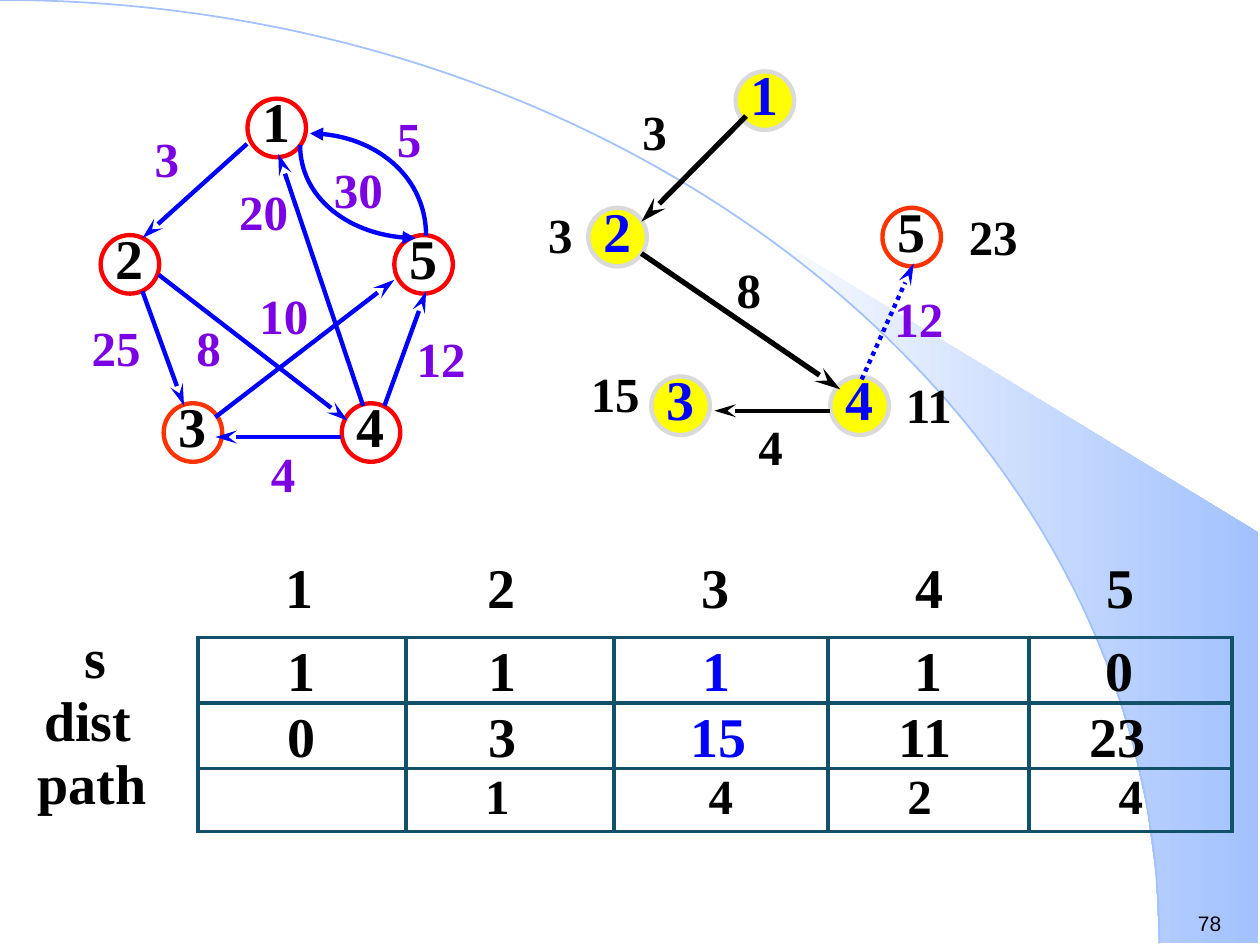
from math import acos, cos, degrees, radians, sin

from lxml.etree import SubElement
from pptx import Presentation
from pptx.dml.color import RGBColor
from pptx.enum.dml import MSO_LINE
from pptx.enum.shapes import MSO_CONNECTOR, MSO_SHAPE
from pptx.enum.text import MSO_ANCHOR, PP_ALIGN
from pptx.oxml.ns import qn
from pptx.util import Cm, Pt

BLACK = RGBColor(0x00, 0x00, 0x00)
BLUE = RGBColor(0x00, 0x00, 0xFF)
VIOLET = RGBColor(0x7B, 0x00, 0xE4)
RED = RGBColor(0xFF, 0x00, 0x00)
ORANGE = RGBColor(0xFF, 0x33, 0x00)
YELLOW = RGBColor(0xFF, 0xFF, 0x00)
GREY = RGBColor(0xDA, 0xDA, 0xDA)
TEAL = RGBColor(0x13, 0x50, 0x69)
SKY = RGBColor(0xA2, 0xC1, 0xFE)
WHITE = RGBColor(0xFF, 0xFF, 0xFF)

SERIF = "Times New Roman"
NO_STYLE = "{2D5ABB26-0587-4C30-8999-92F81FD0307C}"
DIAMETER = 1.18
BEZIER_ARC = 0.55  # control point distance, as a share of the radius

# All positions are in centimetres.
# Nodes: name, centre x, centre y, ring, fill, text colour
NODES = [
    ("1", 5.58, 2.58, RED, None, BLACK),
    ("2", 2.62, 5.33, RED, None, BLACK),
    ("3", 3.89, 8.72, ORANGE, None, BLACK),
    ("4", 7.48, 8.72, RED, None, BLACK),
    ("5", 8.54, 5.33, RED, None, BLACK),
    ("1", 15.42, 2.03, GREY, YELLOW, BLUE),
    ("2", 12.45, 4.78, GREY, YELLOW, BLUE),
    ("3", 13.72, 8.18, GREY, YELLOW, BLUE),
    ("4", 17.33, 8.18, GREY, YELLOW, BLUE),
    ("5", 18.38, 4.78, ORANGE, None, BLACK),
]
# Edges: start, end, colour, width, dash
EDGES = [
    ((4.98, 2.9), (2.87, 4.8), BLUE, 2.5, None),
    ((2.87, 5.87), (3.71, 8.18), BLUE, 2.5, None),
    ((3.2, 5.54), (7.01, 8.48), BLUE, 2.5, None),
    ((4.34, 8.41), (7.95, 5.64), BLUE, 2.5, None),
    ((6.88, 8.81), (4.34, 8.81), BLUE, 2.5, None),
    ((7.75, 8.18), (8.59, 5.87), BLUE, 2.5, None),
    ((7.32, 8.18), (5.61, 3.1), BLUE, 2.5, None),
    ((15.04, 2.34), (12.93, 4.47), BLACK, 3, None),
    ((12.93, 5.11), (16.94, 7.85), BLACK, 3, None),
    ((16.74, 8.28), (14.4, 8.28), BLACK, 2.5, None),
    ((17.37, 7.65), (18.42, 5.31), BLUE, 2.5, MSO_LINE.ROUND_DOT),
]
# Curved edges: horizontal end (with the head), vertical end
CURVED_EDGES = [
    ((6.25, 2.69), (8.59, 4.75)),
    ((8.38, 4.8), (6.05, 2.92)),
]
# Weights and distances: text, left, top
GRAPH_WEIGHTS = [
    ("3", 2.87, 2.46), ("25", 1.6, 6.27), ("8", 3.71, 6.27), ("10", 4.98, 5.64),
    ("20", 4.57, 3.53), ("4", 5.21, 8.81), ("5", 7.75, 2.06), ("30", 6.48, 3.1),
    ("12", 8.15, 6.5), ("12", 17.78, 5.69),
]
TREE_WEIGHTS = [
    ("3", 12.7, 1.93), ("8", 14.6, 5.11), ("4", 15.04, 8.28), ("3", 10.8, 3.99),
    ("15", 11.66, 7.21), ("11", 18.01, 7.42), ("23", 19.28, 4.04),
]
ROW_LABELS = [("s", 1.45, 12.42, 1.68), ("dist", 0.64, 13.69, 3.58), ("path", 0.51, 14.96, 3.58)]
COLUMN_LABELS = [("1", 5.51), ("2", 9.58), ("3", 13.89), ("4", 18.21), ("5", 22.05)]
STATE_ROWS = [
    ("1", "1", "1", "1", "0"),
    ("0", "3", "15", "11", "23"),
    ("", "1", "4", "2", "4"),
]
BLUE_CELLS = {(0, 2), (1, 2)}
ROW_SIZES = [32, 32, 28]
RIGHT_MARGINS = [(0, 0.28, 0.16, 0, 0.44), (0, 0.28, 0.1, 0.16, 0.52), (0, 0.5, 0, 0.36, 0)]
COLUMN_WIDTHS = [4.19, 4.19, 4.32, 4.06, 4.09]
ROW_HEIGHT = 1.27


def style_font(paragraph, size, color, name=SERIF, bold=True):
    font = paragraph.font
    font.name, font.size, font.bold = name, Pt(size), bold
    font.color.rgb = color


def add_label(slide, text, left, top, width, height, size, color, **font):
    frame = slide.shapes.add_textbox(Cm(left), Cm(top), Cm(width), Cm(height)).text_frame
    frame.word_wrap = True
    frame.text = text
    style_font(frame.paragraphs[0], size, color, **font)


def style_line(line, color, width):
    line.color.rgb = color
    line.width = Pt(width)


def add_arrowhead(line, end, kind, length="med"):
    SubElement(line._get_or_add_ln(), qn(f"a:{end}"), type=kind, len=length)


def add_outline(slide, points, close):
    emu = [(Cm(x), Cm(y)) for x, y in points]
    builder = slide.shapes.build_freeform(*emu[0])
    builder.add_line_segments(emu[1:], close=close)
    outline = builder.convert_to_shape()
    outline.shadow.inherit = False
    return outline


def add_quarter_arc(slide, start, end, color, width):
    """Draw a quarter ellipse that leaves start horizontally and meets end vertically."""
    arc = add_outline(slide, [start, end], close=False)
    segment = next(arc._element.iter(qn("a:lnTo")))
    segment.tag = qn("a:cubicBezTo")
    (x0, y0), (x1, y1) = start, end
    controls = [(x0 + BEZIER_ARC * (x1 - x0), y0), (x1, y1 - BEZIER_ARC * (y1 - y0))]
    left, top = min(x0, x1), min(y0, y1)
    for i, (x, y) in enumerate(controls):
        point = SubElement(segment, qn("a:pt"), x=str(Cm(x - left)), y=str(Cm(y - top)))
        segment.insert(i, point)
    arc.fill.background()
    style_line(arc.line, color, width)
    return arc


def add_backdrop(slide):
    width, height, wedge_left, steps = 23.37, 19.02, 14.96, 12
    first = degrees(acos(wedge_left / width))
    angles = [radians(first * (1 - i / steps)) for i in range(steps + 1)]
    rim = [(width * cos(a), height * (1 - sin(a))) for a in angles]
    wedge = add_outline(slide, rim + [(25.37, 19.02), (25.37, 10.74)], close=True)
    wedge.fill.gradient()
    wedge.fill.gradient_angle = 0
    for stop, color in zip(wedge.fill.gradient_stops, (WHITE, SKY)):
        stop.color.rgb = color
    wedge.line.fill.background()
    add_quarter_arc(slide, (0, 0), (width, height), SKY, 1)


def add_node(slide, name, x, y, ring, fill, color):
    node = slide.shapes.add_shape(
        MSO_SHAPE.OVAL, Cm(x - DIAMETER / 2), Cm(y - DIAMETER / 2), Cm(DIAMETER), Cm(DIAMETER))
    node.shadow.inherit = False
    if fill is None:
        node.fill.background()
    else:
        node.fill.solid()
        node.fill.fore_color.rgb = fill
    style_line(node.line, ring, 2.5)
    frame = node.text_frame
    frame.margin_left = frame.margin_right = frame.margin_top = 0
    frame.margin_bottom = Cm(0.3)
    frame.word_wrap = False
    frame.vertical_anchor = MSO_ANCHOR.MIDDLE
    frame.text = name
    frame.paragraphs[0].alignment = PP_ALIGN.CENTER
    style_font(frame.paragraphs[0], 32, color)


def add_edge(slide, start, end, color, width, dash):
    edge = slide.shapes.add_connector(
        MSO_CONNECTOR.STRAIGHT, *(Cm(value) for value in start + end))
    style_line(edge.line, color, width)
    if dash:
        edge.line.dash_style = dash
    add_arrowhead(edge.line, "tailEnd", "stealth", "lg")
    SubElement(edge._element.spPr, qn("a:effectLst"))


def add_borders(cell, sides):
    properties = cell._tc.get_or_add_tcPr()
    for side in sides:
        border = SubElement(properties, qn(f"a:{side}"), w=str(Pt(2.5)))
        solid = SubElement(border, qn("a:solidFill"))
        SubElement(solid, qn("a:srgbClr"), val=str(TEAL))


def add_state_table(slide):
    table = slide.shapes.add_table(
        len(STATE_ROWS), len(COLUMN_WIDTHS), Cm(3.99), Cm(12.85),
        Cm(sum(COLUMN_WIDTHS)), Cm(ROW_HEIGHT * len(STATE_ROWS))).table
    table.first_row = table.horz_banding = False
    table._tbl.tblPr.find(qn("a:tableStyleId")).text = NO_STYLE
    for column, width in zip(table.columns, COLUMN_WIDTHS):
        column.width = Cm(width)
    for r, values in enumerate(STATE_ROWS):
        table.rows[r].height = Cm(ROW_HEIGHT)
        for c, value in enumerate(values):
            cell = table.cell(r, c)
            # Each shared border belongs to the cell on its left or above it.
            sides = ["lnL"] * (c == 0) + ["lnR"] + ["lnT"] * (r == 0) + ["lnB"]
            add_borders(cell, sides)
            cell.fill.background()
            cell.margin_left = cell.margin_bottom = 0
            cell.margin_top = Cm(0.1) if ROW_SIZES[r] == 32 else 0
            cell.margin_right = Cm(RIGHT_MARGINS[r][c])
            cell.vertical_anchor = MSO_ANCHOR.BOTTOM if r < 2 else MSO_ANCHOR.MIDDLE
            cell.text = value
            paragraph = cell.text_frame.paragraphs[0]
            paragraph.alignment = PP_ALIGN.CENTER
            paragraph.line_spacing = 0.9
            style_font(paragraph, ROW_SIZES[r], BLUE if (r, c) in BLUE_CELLS else BLACK)


def main():
    deck = Presentation()
    deck.slide_width, deck.slide_height = Cm(25.4), Cm(19.05)
    slide = deck.slides.add_slide(deck.slide_layouts[6])
    add_backdrop(slide)
    add_label(slide, "78", 23.9, 18.24, 1.5, 0.76, 12, BLACK, name="Arial", bold=False)
    for node in NODES:
        add_node(slide, *node)
    for edge in EDGES:
        add_edge(slide, *edge)
    for start, end in CURVED_EDGES:
        curve = add_quarter_arc(slide, start, end, BLUE, 2.5)
        add_arrowhead(curve.line, "headEnd", "triangle")
    for weights, color in ((GRAPH_WEIGHTS, VIOLET), (TREE_WEIGHTS, BLACK)):
        for text, left, top in weights:
            add_label(slide, text, left, top, 0.64 + 0.63 * len(text), 1.45, 28, color)
    for text, left, top, width in ROW_LABELS:
        add_label(slide, text, left, top, width, 1.6, 32, BLACK)
    for text, left in COLUMN_LABELS:
        add_label(slide, text, left, 11.02, 1.19, 1.6, 32, BLACK)
    add_state_table(slide)
    deck.save("out.pptx")


if __name__ == "__main__":
    main()
